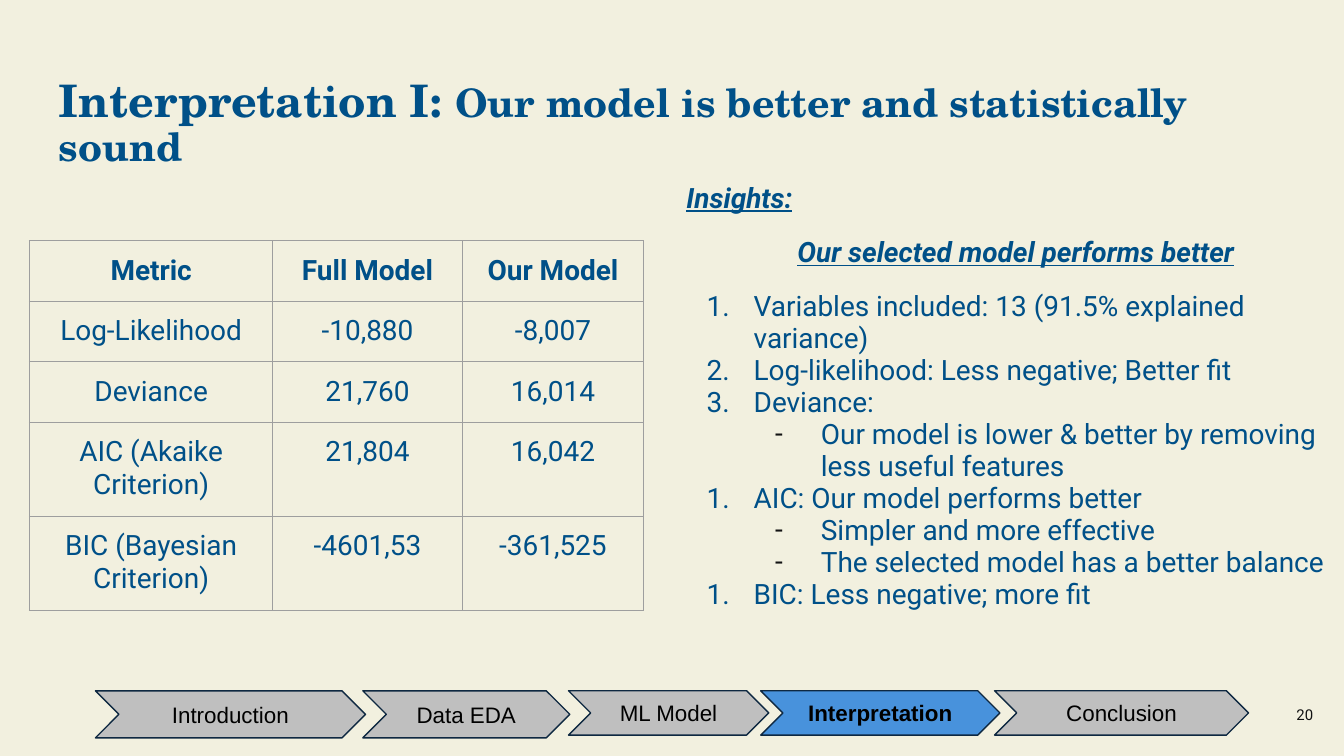
from lxml.etree import SubElement
from pptx import Presentation
from pptx.dml.color import RGBColor
from pptx.enum.shapes import MSO_SHAPE
from pptx.enum.text import MSO_ANCHOR, PP_ALIGN
from pptx.oxml.ns import qn
from pptx.util import Inches, Pt

SLIDE_WIDTH = 10
SLIDE_HEIGHT = SLIDE_WIDTH * 9 / 16
COLORS = {
    "background": "F2F0DF", "blue": "005088", "dark": "121212", "border": "9E9E9E",
    "step": "BFBFBF", "current": "4892DC", "outline": "0E2841", "black": "000000",
}
TITLE = [("Interpretation I: ", 24), ("Our model is better and statistically sound", 21)]
METRICS = [
    ("Metric", "Full Model", "Our Model"),
    ("Log-Likelihood", "-10,880", "-8,007"),
    ("Deviance", "21,760", "16,014"),
    ("AIC (Akaike Criterion)", "21,804", "16,042"),
    ("BIC (Bayesian Criterion)", "-4601,53", "-361,525"),
]
COLUMN_WIDTHS = [1.81, 1.41, 1.35]
ROW_HEIGHTS = [0.45, 0.45, 0.45, 0.69, 0.69]
INSIGHTS = [
    ("heading", "Insights:"),
    ("subheading", "Our selected model performs better"),
    ("number", "Variables included: 13 (91.5% explained variance)"),
    ("number", "Log-likelihood: Less negative; Better fit"),
    ("number", "Deviance:"),
    ("dash", "Our model is lower & better by removing less useful features"),
    ("number", "AIC: Our model performs better"),
    ("dash", "Simpler and more effective"),
    ("dash", "The selected model has a better balance"),
    ("number", "BIC: Less negative; more fit"),
]
BULLETS = {
    "number": (0.5, -0.35, "blue", "a:buAutoNum", {"type": "arabicPeriod"}),
    "dash": (1, -0.34, "dark", "a:buChar", {"char": "-"}),
}
STEPS = [
    ("Introduction", 0.71, 2.01, 0.35),
    ("Data EDA", 2.7, 1.54, 0.35),
    ("ML Model", 4.23, 1.49, 0.33),
    ("Interpretation", 5.66, 1.78, 0.33),
    ("Conclusion", 7.4, 1.89, 0.33),
]
CURRENT_STEP = "Interpretation"


def color(name):
    return RGBColor.from_string(COLORS[name])


def style(run, size, font, color_name, bold=False):
    run.font.size = Pt(size)
    run.font.name = font
    run.font.bold = bold
    run.font.color.rgb = color(color_name)


def set_margins(target):
    target.margin_left = target.margin_right = Inches(0.1)
    target.margin_top = target.margin_bottom = Inches(0.1)


def add_text_frame(slide, left, top, width, height):
    box = slide.shapes.add_textbox(Inches(left), Inches(top), Inches(width), Inches(height))
    box.text_frame.word_wrap = True
    set_margins(box.text_frame)
    return box.text_frame


def add_solid_fill(parent, color_name):
    SubElement(SubElement(parent, qn("a:solidFill")), qn("a:srgbClr"), val=COLORS[color_name])


def add_bullet(paragraph, kind):
    margin, indent, color_name, tag, attributes = BULLETS[kind]
    properties = paragraph._p.get_or_add_pPr()
    properties.set("marL", str(Inches(margin)))
    properties.set("indent", str(Inches(indent)))
    bullet_color = SubElement(properties, qn("a:buClr"))
    SubElement(bullet_color, qn("a:srgbClr"), val=COLORS[color_name])
    SubElement(properties, qn("a:buFont"), typeface="Roboto")
    SubElement(properties, qn(tag), **attributes)


def add_title(slide):
    paragraph = add_text_frame(slide, 0.34, 0.49, 9.32, 0.63).paragraphs[0]
    paragraph.line_spacing = 0.9
    for text, size in TITLE:
        run = paragraph.add_run()
        run.text = text
        style(run, size, "TeX Gyre Schola", "blue", True)


def add_insights(slide):
    text_frame = add_text_frame(slide, 5.01, 1.26, 5.1, 3.69)
    text_frame.text = "\n".join(text for _, text in INSIGHTS)
    for index, (kind, _) in enumerate(INSIGHTS):
        paragraph = text_frame.paragraphs[index]
        paragraph.line_spacing = 0.95
        paragraph.space_before = Pt(12 if index in (1, 2) else 0)
        is_heading = kind not in BULLETS
        font = paragraph.runs[0].font
        style(paragraph.runs[0], 15, "Roboto", "blue", is_heading)
        font.italic = font.underline = is_heading
        if kind == "subheading":
            paragraph.alignment = PP_ALIGN.CENTER
        if not is_heading:
            add_bullet(paragraph, kind)


def format_cell(cell, text, bold):
    cell.text = text
    set_margins(cell)
    paragraph = cell.text_frame.paragraphs[0]
    paragraph.alignment = PP_ALIGN.CENTER
    style(paragraph.runs[0], 15, "Roboto", "blue", bold)
    properties = cell._tc.get_or_add_tcPr()
    for side in ("L", "R", "T", "B"):
        add_solid_fill(SubElement(properties, qn(f"a:ln{side}"), w=str(Pt(0.75))), "border")
    cell.fill.background()


def add_metrics(slide):
    table = slide.shapes.add_table(
        len(METRICS), len(COLUMN_WIDTHS), Inches(0.22), Inches(1.79),
        Inches(sum(COLUMN_WIDTHS)), Inches(sum(ROW_HEIGHTS))).table
    table.horz_banding = table.first_row = False
    for column, width in zip(table.columns, COLUMN_WIDTHS):
        column.width = Inches(width)
    for row, height in zip(table.rows, ROW_HEIGHTS):
        row.height = Inches(height)
    for row_index, values in enumerate(METRICS):
        for column_index, text in enumerate(values):
            format_cell(table.cell(row_index, column_index), text, row_index == 0)


def add_step(slide, name, left, width, height):
    is_current = name == CURRENT_STEP
    shape = slide.shapes.add_shape(
        MSO_SHAPE.CHEVRON, Inches(left), Inches(5.14), Inches(width), Inches(height))
    shape.shadow.inherit = False
    shape.fill.solid()
    shape.fill.fore_color.rgb = color("current" if is_current else "step")
    shape.line.color.rgb = color("outline")
    shape.line.width = Pt(0.75)
    text_frame = shape.text_frame
    set_margins(text_frame)
    text_frame.vertical_anchor = MSO_ANCHOR.MIDDLE
    text_frame.text = name
    paragraph = text_frame.paragraphs[0]
    paragraph.alignment = PP_ALIGN.CENTER
    style(paragraph.runs[0], 12, "Arial", "black", is_current)


def add_slide_number(slide):
    text_frame = add_text_frame(slide, 9.27, 5.1, 0.6, 0.43)
    text_frame.vertical_anchor = MSO_ANCHOR.MIDDLE
    text_frame.text = "20"
    paragraph = text_frame.paragraphs[0]
    paragraph.alignment = PP_ALIGN.RIGHT
    style(paragraph.runs[0], 8, "Roboto", "dark")


def main():
    presentation = Presentation()
    presentation.slide_width = Inches(SLIDE_WIDTH)
    presentation.slide_height = Inches(SLIDE_HEIGHT)
    slide = presentation.slides.add_slide(presentation.slide_layouts[6])
    slide.background.fill.solid()
    slide.background.fill.fore_color.rgb = color("background")
    add_title(slide)
    add_insights(slide)
    add_metrics(slide)
    add_slide_number(slide)
    for step in STEPS:
        add_step(slide, *step)
    presentation.save("out.pptx")


if __name__ == "__main__":
    main()
